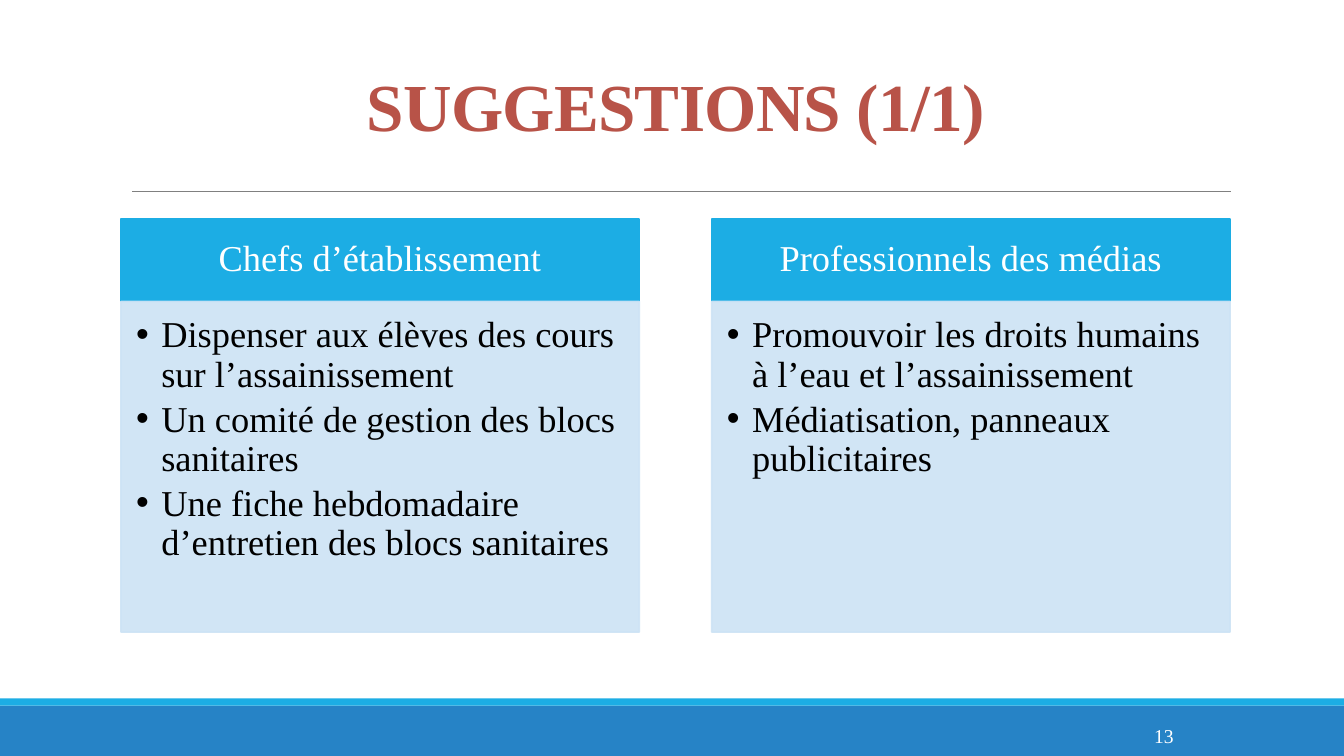
from lxml import etree
from pptx import Presentation
from pptx.dml.color import RGBColor
from pptx.enum.shapes import MSO_CONNECTOR, MSO_SHAPE
from pptx.enum.text import MSO_ANCHOR, MSO_AUTO_SIZE, PP_ALIGN
from pptx.oxml.ns import qn
from pptx.util import Pt

PX = 9144
FONT = "Times New Roman"
LEFT, CENTER = PP_ALIGN.LEFT, PP_ALIGN.CENTER
TOP, MIDDLE = MSO_ANCHOR.TOP, MSO_ANCHOR.MIDDLE
RECT, STRAIGHT = MSO_SHAPE.RECTANGLE, MSO_CONNECTOR.STRAIGHT
NO_FIT = MSO_AUTO_SIZE.NONE
COMPARISON = 4

COLORS = {
    "title": "B85348",
    "accent": "1CADE4",
    "footer": "2683C6",
    "panel": "CDE3F5",
    "rule": "808080",
    "white": "FFFFFF",
    "black": "000000",
}

COLUMN_LEFT, COLUMN_STEP, COLUMN_WIDTH = 120, 586, 514
HEADER_TOP, HEADER_HEIGHT, LIST_HEIGHT = 217, 82, 328
COLUMNS = [
    ("Chefs d’établissement", [
        "Dispenser aux élèves des cours sur l’assainissement",
        "Un comité de gestion des blocs sanitaires",
        "Une fiche hebdomadaire d’entretien des blocs sanitaires",
    ]),
    ("Professionnels des médias", [
        "Promouvoir les droits humains à l’eau et l’assainissement",
        "Médiatisation, panneaux publicitaires",
    ]),
]


def rgb(name):
    return RGBColor.from_string(COLORS[name])


def place(shape, x, y, w, h):
    shape.left, shape.top = x * PX, y * PX
    shape.width, shape.height = w * PX, h * PX


def add_bullet(p, indent):
    pPr = p._p.get_or_add_pPr()
    pPr.set("marL", str(indent * PX))
    pPr.set("indent", str(-indent * PX))
    etree.SubElement(pPr, qn("a:buFont")).set("typeface", "Arial")
    etree.SubElement(pPr, qn("a:buChar")).set("char", "•")


def write(shape, *lines, size, color, bold=False, align=CENTER, anchor=MIDDLE,
          insets=(10, 5, 10, 5), spacing=1.0, after=0, bullet=0, tracking=0):
    tf = shape.text_frame
    tf.word_wrap, tf.auto_size, tf.vertical_anchor = True, NO_FIT, anchor
    tf.margin_left, tf.margin_top, tf.margin_right, tf.margin_bottom = (
        inset * PX for inset in insets)
    for i, line in enumerate(lines):
        p = tf.add_paragraph() if i else tf.paragraphs[0]
        if bullet:
            add_bullet(p, bullet)
        p.alignment, p.line_spacing = align, spacing
        p.space_before, p.space_after = Pt(0), Pt(after)
        r = p.add_run()
        r.text = line
        r.font.name, r.font.size, r.font.bold = FONT, Pt(size), bold
        r.font.color.rgb = rgb(color)
        if tracking:
            r._r.get_or_add_rPr().set("spc", str(tracking))


def paint(shape, color, outline=0, opacity=100):
    shape.fill.solid()
    shape.fill.fore_color.rgb = rgb(color)
    if outline:
        shape.line.width = Pt(outline)
        shape.line.color.rgb = rgb(color)
    else:
        shape.line.fill.background()
    if opacity < 100:
        for clr in shape._element.spPr.iter(qn("a:srgbClr")):
            etree.SubElement(clr, qn("a:alpha")).set("val", str(opacity * 1000))


def add_band(s, y, h, color):
    band = s.shapes.add_shape(RECT, 0, y * PX, 1333 * PX, h * PX)
    band.shadow.inherit = False
    paint(band, color)


def add_rule(s, x1, x2, y):
    rule = s.shapes.add_connector(STRAIGHT, x1 * PX, y * PX, x2 * PX, y * PX)
    rule.line.color.rgb = rgb("rule")
    rule.line.width = Pt(0.5)
    etree.SubElement(rule._element.spPr, qn("a:effectLst"))


def fill_column(header, body, x, heading, items):
    place(header, x, HEADER_TOP, COLUMN_WIDTH, HEADER_HEIGHT)
    paint(header, "accent", outline=1.25)
    write(header, heading, size=26, color="white", insets=(20, 12, 20, 12),
          spacing=0.9)
    place(body, x, HEADER_TOP + HEADER_HEIGHT, COLUMN_WIDTH, LIST_HEIGHT)
    paint(body, "panel", outline=1.25, opacity=90)
    write(body, *items, size=26, color="black", align=LEFT, anchor=TOP,
          insets=(15, 15, 20, 23), spacing=0.9, after=4, bullet=25)


def main():
    prs = Presentation()
    prs.slide_width, prs.slide_height = 1333 * PX, 750 * PX
    s = prs.slides.add_slide(prs.slide_layouts[COMPARISON])

    add_band(s, 700, 50, "footer")
    add_band(s, 693, 7, "accent")
    add_rule(s, 131, 1221, 190)

    title = s.shapes.title
    place(title, 120, 31, 1100, 159)
    write(title, "SUGGESTIONS (1/1)", size=48, color="title", bold=True,
          spacing=0.85, tracking=-50)

    for i, (heading, items) in enumerate(COLUMNS):
        header, body = (s.placeholders[2 * i + n] for n in (1, 2))
        fill_column(header, body, COLUMN_LEFT + i * COLUMN_STEP, heading, items)

    number = s.shapes.add_textbox(1083 * PX, 710 * PX, 143 * PX, 40 * PX)
    write(number, "13", size=14, color="white")

    prs.save("out.pptx")


if __name__ == "__main__":
    main()
